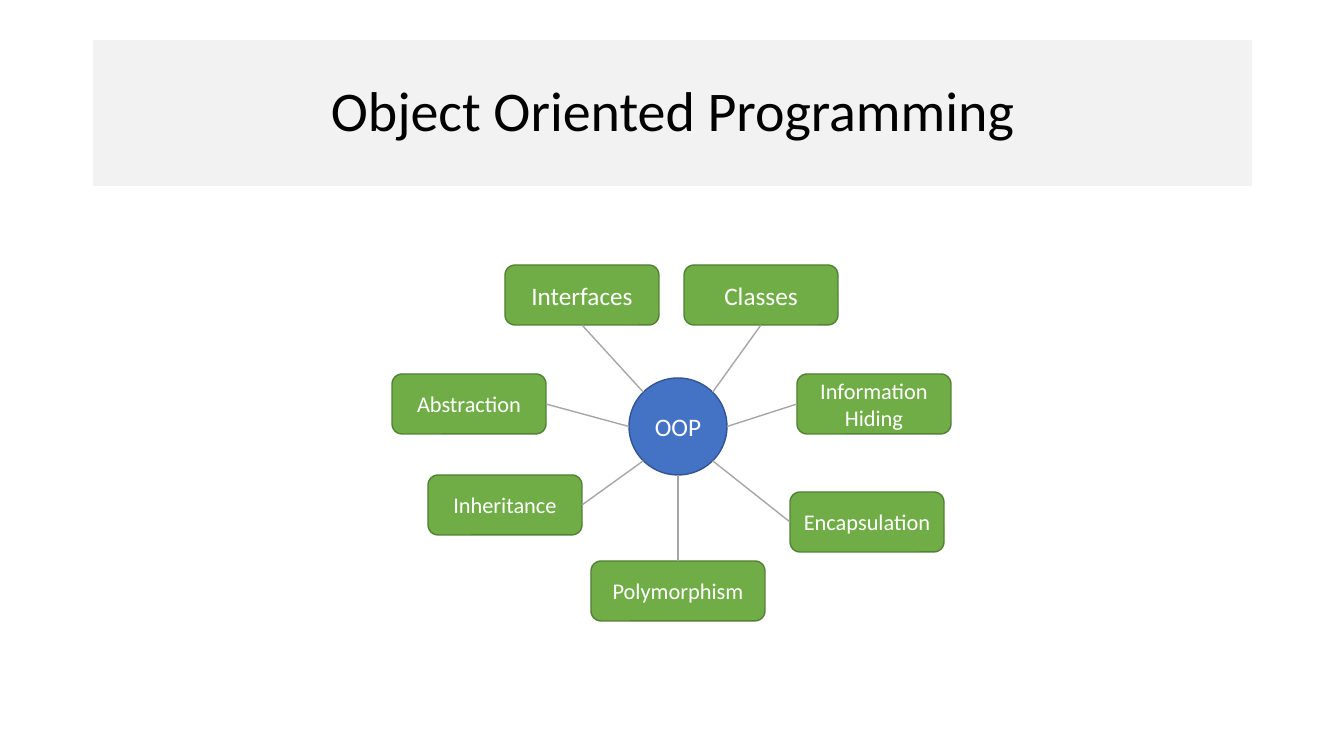
from math import cos, radians, sin

from lxml import etree
from pptx import Presentation
from pptx import util as u
from pptx.dml.color import RGBColor
from pptx.enum import shapes, text
from pptx.oxml.ns import qn

TITLE = "Object Oriented Programming"
TITLE_AREA = (93, 40, 1159, 146)
HUB = ("OOP", 629, 378, 98, 97)
NODE_WIDTH, NODE_HEIGHT = 154, 60
# label, left, top, width, size, side, angle
NODES = [
    ("Classes", 684, 265, NODE_WIDTH, 18, "bottom", -45),
    ("Interfaces", 505, 265, NODE_WIDTH, 18, "bottom", -135),
    ("Information Hiding", 797, 374, NODE_WIDTH, 16, "left", 0),
    ("Polymorphism", 591, 561, 174, 16, "top", 90),
    ("Inheritance", 428, 475, NODE_WIDTH, 16, "right", 135),
    ("Abstraction", 392, 374, NODE_WIDTH, 16, "right", 180),
    ("Encapsulation", 790, 492, NODE_WIDTH, 16, "left", 45),
]
SIDES = {"left": (0, 0.5), "right": (1, 0.5), "top": (0.5, 0), "bottom": (0.5, 1)}
COLORS = {
    "banner": "F2F2F2", "title": "000000", "label": "FFFFFF",
    "hub": "4472C4", "hub_edge": "325491",
    "node": "70AD47", "node_edge": "538035", "spoke": "A6A6A6",
}


def px(length):
    return u.Emu(round(length * 914400 / 100.8))


def color(name):
    return RGBColor.from_string(COLORS[name])


def write(shape, words, size, ink, spacing=None):
    frame = shape.text_frame
    frame.word_wrap = True
    frame.auto_size = text.MSO_AUTO_SIZE.NONE
    frame.vertical_anchor = text.MSO_ANCHOR.MIDDLE
    para = frame.paragraphs[0]
    para.alignment = text.PP_ALIGN.CENTER
    para.line_spacing = spacing
    span = para.add_run()
    span.text = words
    span.font.size = u.Pt(size)
    span.font.name = "Calibri"
    span.font.color.rgb = color(ink)


def add_bubble(page, kind, area, words, size, fill):
    bubble = page.shapes.add_shape(kind, *map(px, area))
    bubble.shadow.inherit = False
    bubble.fill.solid()
    bubble.fill.fore_color.rgb = color(fill)
    bubble.line.color.rgb = color(fill + "_edge")
    bubble.line.width = u.Pt(1)
    write(bubble, words, size, "label")


def add_spoke(page, start, end):
    spoke = page.shapes.add_connector(
        shapes.MSO_CONNECTOR.STRAIGHT, *map(px, (*start, *end)))
    spoke.line.color.rgb = color("spoke")
    spoke.line.width = u.Pt(1)
    etree.SubElement(spoke._element.spPr, qn("a:effectLst"))


def main():
    deck = Presentation()
    deck.slide_width, deck.slide_height = px(1344), px(756)
    page = deck.slides.add_slide(deck.slide_layouts[5])

    title = page.shapes.title
    title.left, title.top, title.width, title.height = map(px, TITLE_AREA)
    title.fill.solid()
    title.fill.fore_color.rgb = color("banner")
    write(title, TITLE, 40, "title", spacing=0.9)

    name, hub_left, hub_top, hub_width, hub_height = HUB
    add_bubble(page, shapes.MSO_SHAPE.OVAL, HUB[1:], name, 18, "hub")
    for label, left, top, width, size, side, angle in NODES:
        add_bubble(page, shapes.MSO_SHAPE.ROUNDED_RECTANGLE,
                   (left, top, width, NODE_HEIGHT), label, size, "node")

    for label, left, top, width, size, side, angle in NODES:
        across, down = SIDES[side]
        turn = radians(angle)
        start = (hub_left + hub_width / 2 * (1 + cos(turn)),
                 hub_top + hub_height / 2 * (1 + sin(turn)))
        end = (left + width * across, top + NODE_HEIGHT * down)
        add_spoke(page, start, end)

    deck.save("out.pptx")


if __name__ == "__main__":
    main()
